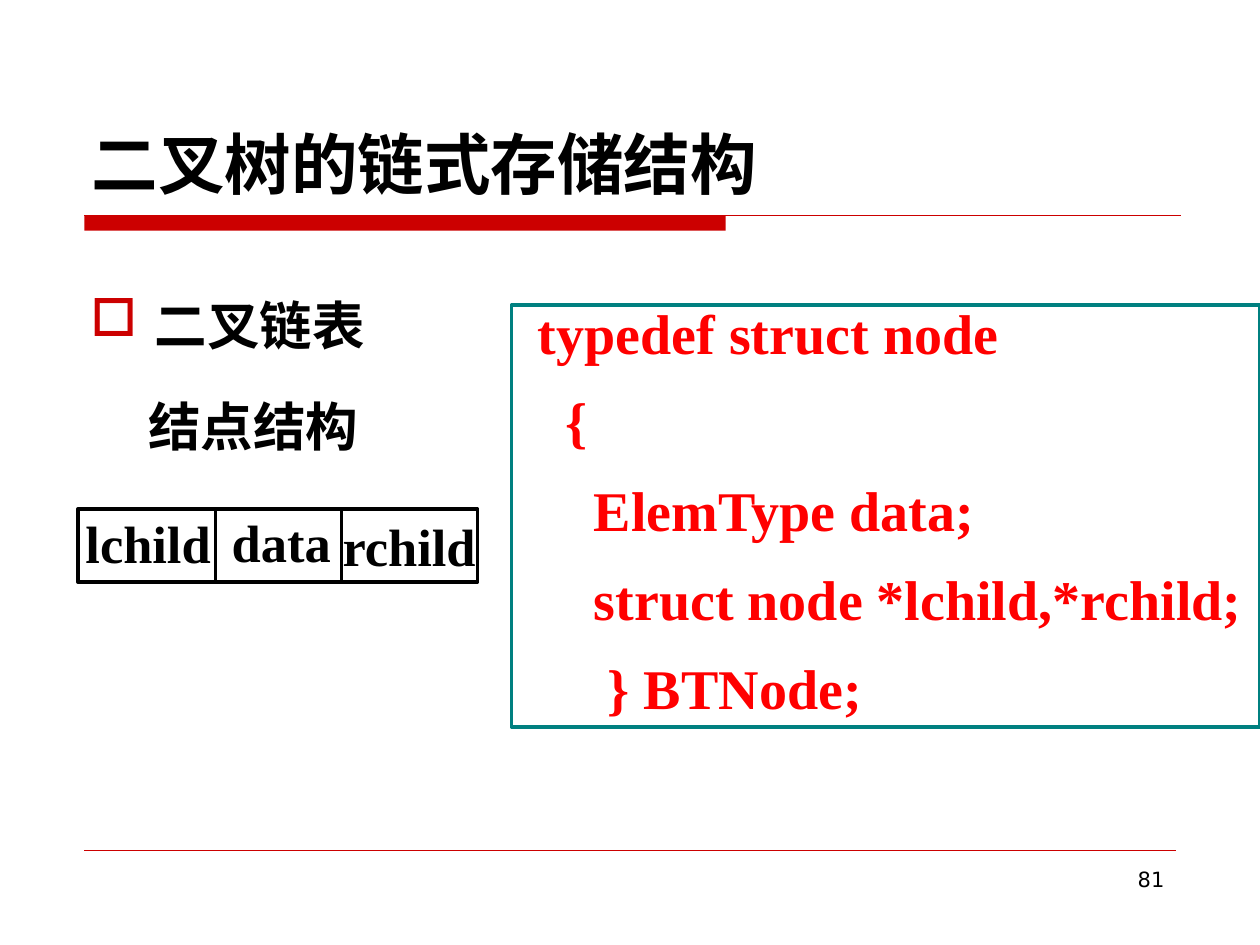
import pptx
import pptx.util
import pptx.dml.color
import pptx.enum.shapes
import pptx.enum.text
import pptx.oxml.ns
from lxml import etree

Inches, Pt = pptx.util.Inches, pptx.util.Pt
Color = pptx.dml.color.RGBColor
Align = pptx.enum.text.PP_ALIGN
Anchor = pptx.enum.text.MSO_ANCHOR
RECT = pptx.enum.shapes.MSO_SHAPE.RECTANGLE
LINE = pptx.enum.shapes.MSO_CONNECTOR.STRAIGHT

RED = Color(0xCC, 0, 0)
CODE = Color(0xFF, 0, 0)
TEAL = Color(0, 0x80, 0x80)
BLACK = Color(0, 0, 0)
SANS, SERIF = "DejaVu Sans", "Times New Roman"

# Content: text, box, size, font, bold, align, anchor
TEXTS = [
    ("81", (7.17, 6.83, 2.17, 0.52), 12, SANS, False, Align.RIGHT, Anchor.TOP),
    ("二叉树的链式存储结构", (0.63, 0.33, 8.75, 1.33), 38, SANS, True,
     Align.LEFT, Anchor.BOTTOM),
    ("结点结构", (1.08, 3.08, 2.08, 0.6), 30, SANS, True, Align.LEFT, Anchor.TOP),
]
TOPIC = "二叉链表"
FIELDS = [("lchild", 0.58, 4.01, 1.29), ("data", 1.74, 4.0, 1.12),
          ("rchild", 2.62, 4.03, 1.29)]
STRUCT = [
    " typedef struct node",
    "   {",
    "     ElemType data;",
    "     struct node *lchild,*rchild;",
    "      } BTNode;",
]
# Lines: start, end, colour, width
NODE = (0.62, 4.04, 3.17, 0.58)
LINES = [((0.67, 1.71), (9.37, 1.71), RED, 0.75),
         ((0.67, 6.75), (9.33, 6.75), RED, 0.25)]
LINES += [((x, NODE[1]), (x, NODE[1] + NODE[3]), BLACK, 2) for x in (1.71, 2.71)]

deck = pptx.Presentation()
deck.slide_width, deck.slide_height = Inches(10), Inches(7.5)
slide = deck.slides.add_slide(deck.slide_layouts[6])
shapes = slide.shapes


def style(par, size, face, bold, color=BLACK):
    font = par.font
    font.size, font.name, font.bold = Pt(size), face, bold
    font.color.rgb = color


def write(text, box, size, face, bold=True, align=Align.LEFT, anchor=Anchor.TOP):
    frame = shapes.add_textbox(*map(Inches, box)).text_frame
    frame.word_wrap = True
    frame.vertical_anchor = anchor
    par = frame.paragraphs[0]
    par.text, par.alignment = text, align
    style(par, size, face, bold)
    return par


def frame_box(box, color):
    shape = shapes.add_shape(RECT, *map(Inches, box))
    shape.shadow.inherit = False
    shape.fill.background()
    shape.line.color.rgb = color
    shape.line.width = Pt(2)
    return shape


def add_bullet(par, mark, color, indent):
    props = par._p.get_or_add_pPr()
    props.set("marL", str(Inches(indent)))
    props.set("indent", str(-Inches(indent)))
    tint = etree.SubElement(props, pptx.oxml.ns.qn("a:buClr"))
    etree.SubElement(tint, pptx.oxml.ns.qn("a:srgbClr"), val=str(color))
    etree.SubElement(props, pptx.oxml.ns.qn("a:buChar"), char=mark)


# Title bar
bar = shapes.add_shape(RECT, *map(Inches, (0.67, 1.71, 5.09, 0.12)))
bar.shadow.inherit = False
bar.fill.solid()
bar.fill.fore_color.rgb = RED
bar.line.fill.background()

# Node box, rules and dividers
frame_box(NODE, BLACK)
for start, end, color, width in LINES:
    rule = shapes.add_connector(LINE, *map(Inches, start + end))
    rule.line.color.rgb = color
    rule.line.width = Pt(width)
    etree.SubElement(rule._element.spPr, pptx.oxml.ns.qn("a:effectLst"))

# Title, label and page number
for item in TEXTS:
    write(*item)

# Bulleted topic
topic = write(TOPIC, (0.62, 2.15, 8.4, 4.43), 30, SERIF)
topic.line_spacing = 1.25
add_bullet(topic, "□", RED, 0.51)

# Node fields
for name, left, top, width in FIELDS:
    write(name, (left, top, width, 0.6), 30, SERIF)

# Struct definition
frame = frame_box((4.06, 2.42, 5.94, 3.35), TEAL).text_frame
frame.word_wrap = True
frame.vertical_anchor = Anchor.TOP
for i, text in enumerate(STRUCT):
    par = frame.add_paragraph() if i else frame.paragraphs[0]
    par.text, par.alignment = text, Align.JUSTIFY
    par.line_spacing = 0.8
    if i:
        par.space_before = Pt(20)
    style(par, 32, SERIF, True, CODE)

deck.save("out.pptx")
